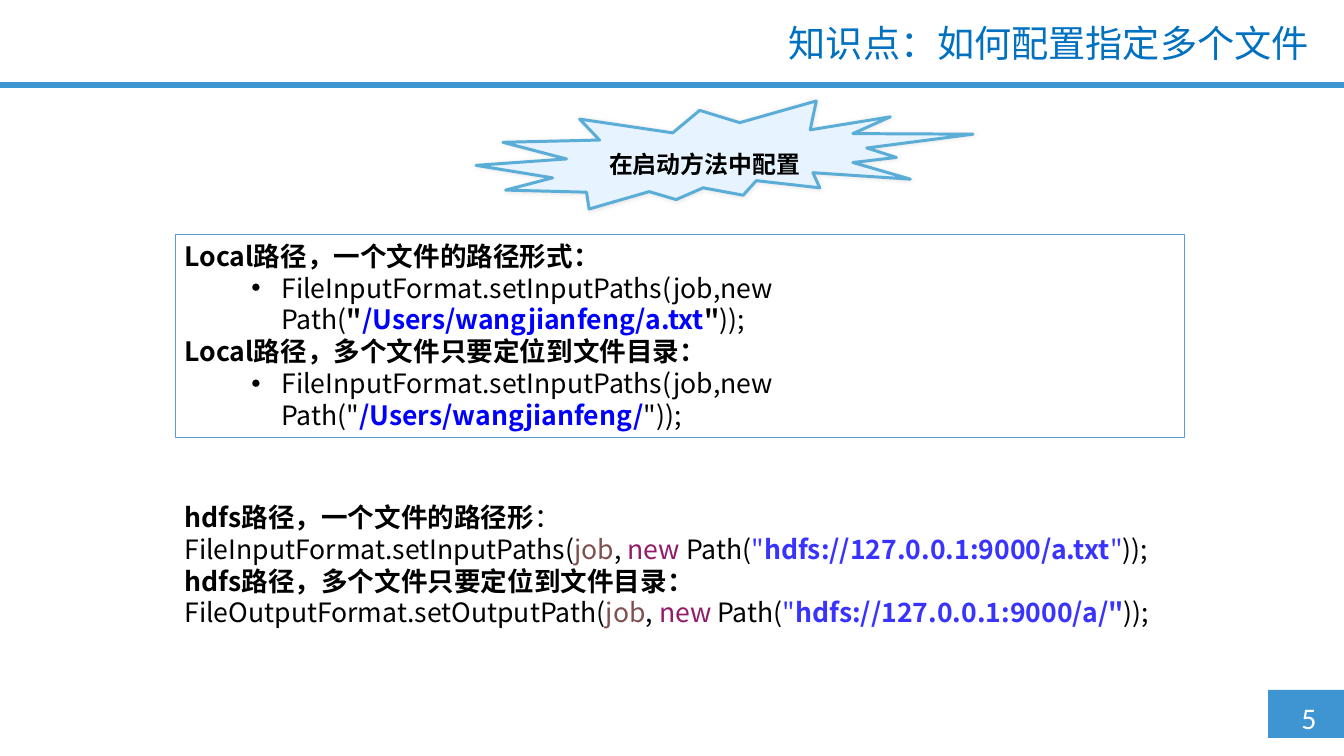
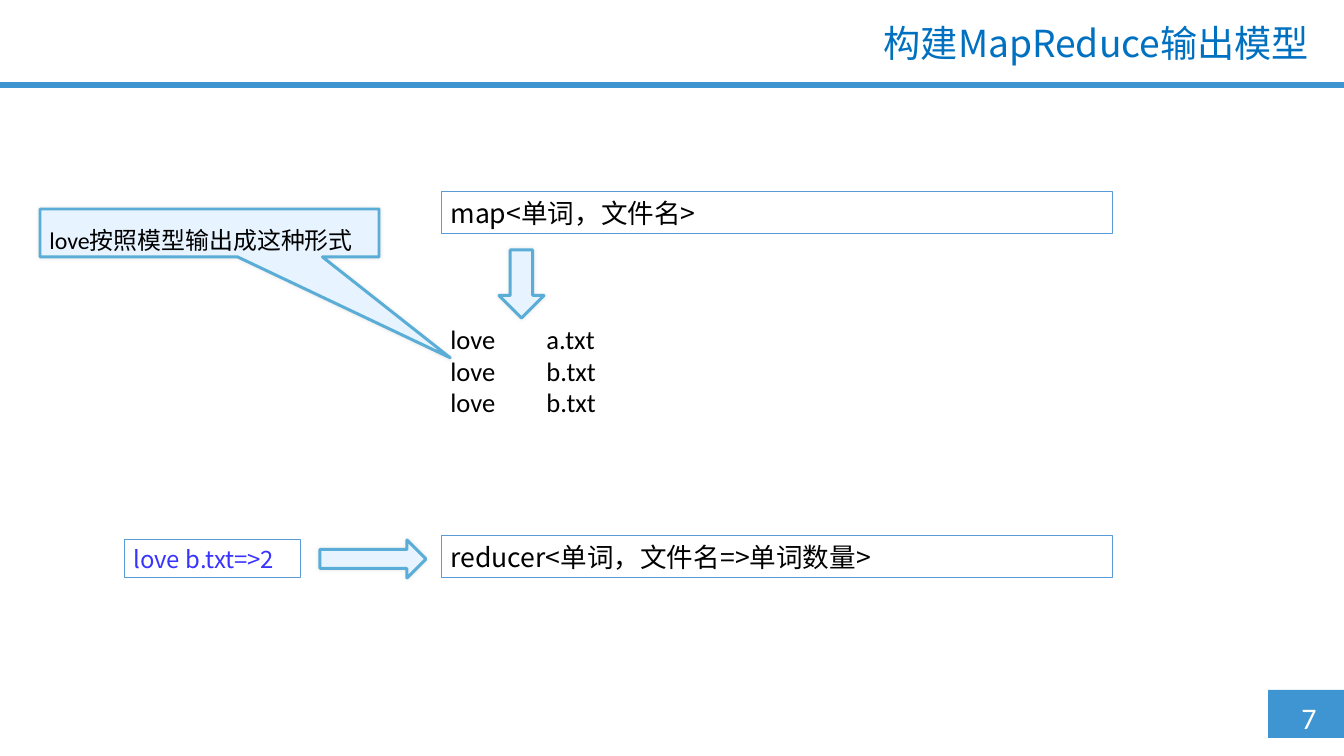
from lxml import etree
from pptx import Presentation, util as u
from pptx.dml.color import RGBColor
from pptx.enum import shapes, text
from pptx.oxml import ns

PX = 9565  # EMU in one px
CJK = "Noto Sans CJK SC"
LATIN = "Calibri"
COLORS = {
    "band": "3F95D2", "title": "0070C0", "frame": "5B9BD5", "paper": "FFFFFF",
    "accent_fill": "E7F4FF", "accent_line": "5AADD6", "ink": "000000",
    "path": "0000FF", "string": "3933FF", "variable": "7E504F", "keyword": "931A68",
}
KIND = shapes.MSO_SHAPE
FRAMED = {"fill": "paper", "line": "frame"}
ACCENT = {"fill": "accent_fill", "line": "accent_line", "weight": 2.25, "shadow": True}


def draw(page, kind, at, fill=None, line=None, weight=0.75, shadow=False):
    """Add a preset shape at (left, top, width, height) in px."""
    box = page.shapes.add_shape(kind, *(n * PX for n in at))
    box.shadow.inherit = False
    if fill:
        box.fill.solid()
        box.fill.fore_color.rgb = RGBColor.from_string(COLORS[fill])
    else:
        box.fill.background()
    if line:
        box.line.color.rgb = RGBColor.from_string(COLORS[line])
        box.line.width = u.Pt(weight)
    else:
        box.line.fill.background()
    if shadow:
        effects = box._element.spPr.find(ns.qn("a:effectLst"))
        glow = etree.SubElement(effects, ns.qn("a:outerShdw"), blurRad=str(u.Pt(3)))
        black = etree.SubElement(glow, ns.qn("a:srgbClr"), val=COLORS["ink"])
        etree.SubElement(black, ns.qn("a:alpha"), val="10000")
    return box


def write(box, paras, size=20, font=CJK, color="ink", align="LEFT", spacing=None,
          anchor="TOP", bullets=(), tab=None):
    """Fill box with paragraphs, each a list of (text, colour, bold) spans."""
    frame = box.text_frame
    frame.word_wrap = True
    frame.vertical_anchor = text.MSO_ANCHOR[anchor]
    for i, spans in enumerate(paras):
        para = frame.add_paragraph() if i else frame.paragraphs[0]
        para.alignment = text.PP_ALIGN[align]
        if spacing:
            para.line_spacing = spacing
        para.font.size = u.Pt(size)
        para.font.name = font
        para.font.color.rgb = RGBColor.from_string(COLORS[color])
        props = para._p.pPr
        defaults = props.find(ns.qn("a:defRPr"))
        etree.SubElement(defaults, ns.qn("a:ea"), typeface=CJK)
        if i in bullets:
            para.level = 1
            props.set("marL", str(97 * PX))
            props.set("indent", str(-30 * PX))
            for tag, key, value in (("buFont", "typeface", "Arial"), ("buChar", "char", "•")):
                mark = etree.Element(ns.qn("a:" + tag))
                mark.set(key, value)
                defaults.addprevious(mark)
        if tab:
            stops = etree.Element(ns.qn("a:tabLst"))
            etree.SubElement(stops, ns.qn("a:tab"), pos=str(tab * PX), algn="l")
            defaults.addprevious(stops)
        for words, tint, bold in spans:
            span = para.add_run()
            span.text = words
            if bold:
                span.font.bold = True
            if tint:
                span.font.color.rgb = RGBColor.from_string(COLORS[tint])


deck = Presentation()
deck.slide_width, deck.slide_height = 1344 * PX, 756 * PX

# Title, bands and page number on every page
pages = []
for title, number in (("知识点：如何配置指定多个文件", "5"), ("构建MapReduce输出模型", "7")):
    page = deck.slides.add_slide(deck.slide_layouts[6])
    draw(page, KIND.RECTANGLE, (1268, 690, 76, 48), "band")
    draw(page, KIND.RECTANGLE, (0, 82, 1344, 6), "band")
    write(draw(page, KIND.RECTANGLE, (1292, 695, 62, 46)), [[(number, None, False)]],
          size=22.5, font=LATIN, color="paper")
    write(draw(page, KIND.RECTANGLE, (725, 21, 593, 54)), [[(title, None, False)]],
          size=28, color="title", align="RIGHT", spacing=0.9)
    pages.append(page)
config_page, model_page = pages

# Input paths
local_box = draw(config_page, KIND.RECTANGLE, (175, 235, 1009, 203), **FRAMED)
write(local_box, [
    [("Local路径，一个文件的路径形式：", None, True)],
    [("FileInputFormat.setInputPaths(job,new Path(", None, False), ('"', None, True),
     ("/Users/wangjianfeng/a.txt", "path", True), ('"', None, True), ("));", None, False)],
    [("Local路径，多个文件只要定位到文件目录：", None, True)],
    [('FileInputFormat.setInputPaths(job,new Path("', None, False),
     ("/Users/wangjianfeng/", "path", True), ('"));', None, False)],
], bullets=(1, 3))

job_path = [("job", "variable", False), (", ", None, False),
            ("new", "keyword", False), (" Path(", None, False), ('"', "string", False)]
hdfs_box = draw(config_page, KIND.RECTANGLE, (175, 496, 1009, 139), "paper")
write(hdfs_box, [
    [("hdfs路径，一个文件的路径形", None, True), ("：", None, False)],
    [("FileInputFormat.setInputPaths(", None, False), *job_path,
     ("hdfs://127.0.0.1:9000/a.txt", "string", True), ('"', "string", False),
     ("));", None, False)],
    [("hdfs路径，多个文件只要定位到文件目录：", None, True)],
    [("FileOutputFormat.setOutputPath(", None, False), *job_path,
     ('hdfs://127.0.0.1:9000/a/"', "string", True), ("));", None, False)],
])

burst = draw(config_page, KIND.EXPLOSION2, (476, 101, 497, 108), **ACCENT)
write(burst, [[("在启动方法中配置", None, True)]], size=18, font=LATIN, spacing=1.5,
      anchor="MIDDLE")

# Map and reduce output
for top, model in ((192, "map<单词，文件名>"), (536, "reducer<单词，文件名=>单词数量>")):
    model_box = draw(model_page, KIND.RECTANGLE, (441, top, 672, 42), **FRAMED)
    write(model_box, [[(model, None, False)]])

result_box = draw(model_page, KIND.RECTANGLE, (124, 540, 177, 38), **FRAMED)
write(result_box, [[("love b.txt=>2", None, False)]], size=18, color="string")
draw(model_page, KIND.RIGHT_ARROW, (320, 540, 106, 38), **ACCENT)

pairs_box = draw(model_page, KIND.RECTANGLE, (441, 318, 301, 106), "paper")
write(pairs_box, [[(f"love\t{name}.txt", None, False)] for name in "abb"], font=LATIN,
      tab=96)
draw(model_page, KIND.DOWN_ARROW, (499, 250, 45, 68), **ACCENT)

callout = draw(model_page, KIND.RECTANGULAR_CALLOUT, (40, 209, 339, 48), **ACCENT)
callout.adjustments[0], callout.adjustments[1] = 0.71, 2.6
write(callout, [[("love按照模型输出成这种形式", None, False)]], size=18, font=LATIN,
      spacing=1.5, anchor="MIDDLE")

deck.save("out.pptx")
